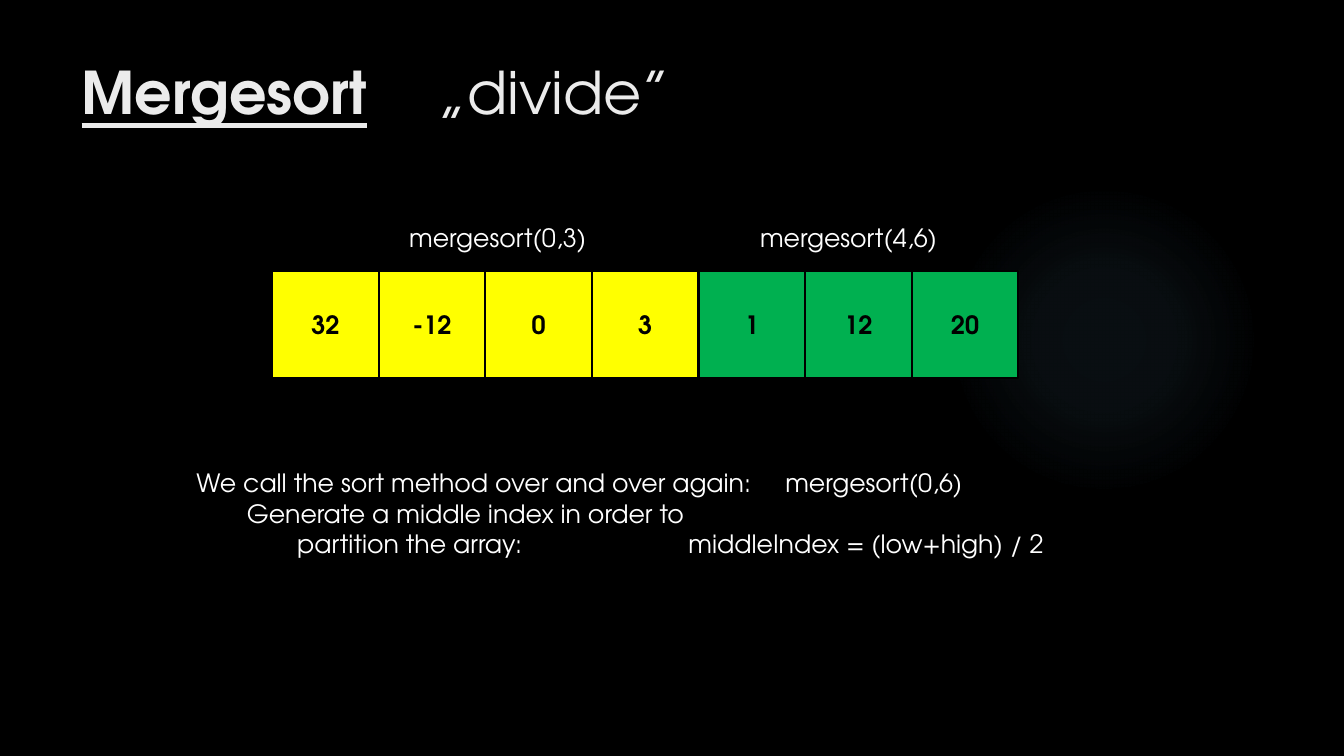
"""Builds the Mergesort "divide" slide."""
from dataclasses import dataclass

import pptx
import pptx.dml.color
import pptx.enum.shapes
import pptx.enum.text
import pptx.oxml
import pptx.oxml.ns
import pptx.presentation
import pptx.shapes.autoshape
import pptx.slide
import pptx.text.text
import pptx.util

Inches = pptx.util.Inches
SHAPE = pptx.enum.shapes.MSO_SHAPE
ANCHOR = pptx.enum.text.MSO_ANCHOR
ALIGN = pptx.enum.text.PP_ALIGN


@dataclass(frozen=True)
class Theme:
    font: str = "TeX Gyre Adventor"
    title_size: int = 42
    body_size: int = 18
    background: str = "000000"
    title: str = "EBEBEB"
    body: str = "FFFFFF"
    cell_text: str = "000000"
    cell_line: str = "000000"
    left_half: str = "FFFF00"
    right_half: str = "00B050"
    glow: str = "7AC4F0"


@dataclass(frozen=True)
class Frame:
    left: float
    top: float
    width: float
    height: float

    def lengths(self) -> tuple[int, int, int, int]:
        return (Inches(self.left), Inches(self.top),
                Inches(self.width), Inches(self.height))


@dataclass(frozen=True)
class Line:
    text: str
    tab_stops: tuple[float, ...]


@dataclass(frozen=True)
class TextBlock:
    frame: Frame
    lines: tuple[Line, ...]


@dataclass(frozen=True)
class Half:
    values: tuple[int, ...]
    fill: str


THEME = Theme()
TITLE_FRAME = Frame(0.71, 0.5, 10.29, 1.53)
TITLE_TAB = 3.53
GLOW_FRAME = Frame(9.41, 1.83, 3.08, 3.08)
GLOW_STOPS = ((0, 7), (36, 6), (69, 0))
ARRAY_LEFT, ARRAY_TOP, ARRAY_WIDTH = 2.7, 2.69, 7.4
HALVES = (
    Half((32, -12, 0, 3), THEME.left_half),
    Half((1, 12, 20), THEME.right_half),
)
TEXT_BLOCKS = (
    TextBlock(Frame(3.96, 2.16, 5.5, 0.4), (
        Line("mergesort(0,3)\tmergesort(4,6)", (3.48,)),
    )),
    TextBlock(Frame(1.85, 4.59, 9.73, 1.01), (
        Line("We call the sort method over and over again:\tmergesort(0,6)", (5.84,)),
        Line("\tGenerate a middle index in order to", (0.5,)),
        Line("\t\tpartition the array:\tmiddleIndex = (low+high) / 2", (0.5, 1, 4.88)),
    )),
)


def rgb(colour: str) -> pptx.dml.color.RGBColor:
    return pptx.dml.color.RGBColor.from_string(colour)


def set_font(para: pptx.text.text._Paragraph, size: int, colour: str) -> None:
    para.font.name = THEME.font
    para.font.size = pptx.util.Pt(size)
    para.font.color.rgb = rgb(colour)


def set_tab_stops(para: pptx.text.text._Paragraph, stops: tuple[float, ...]) -> None:
    properties = para._p.get_or_add_pPr()
    tabs = properties.makeelement(pptx.oxml.ns.qn("a:tabLst"), {})
    for stop in stops:
        tab = tabs.makeelement(pptx.oxml.ns.qn("a:tab"),
                               {"pos": str(Inches(stop)), "algn": "l"})
        tabs.append(tab)
    properties.append(tabs)


def add_title(slide: pptx.slide.Slide) -> None:
    title = slide.shapes.title
    title.left, title.top, title.width, title.height = TITLE_FRAME.lengths()
    title.text_frame.vertical_anchor = ANCHOR.TOP
    title.text_frame.auto_size = pptx.enum.text.MSO_AUTO_SIZE.NONE
    para = title.text_frame.paragraphs[0]
    para.alignment = ALIGN.LEFT
    set_tab_stops(para, (TITLE_TAB,))
    set_font(para, THEME.title_size, THEME.title)
    for text, strong in (("Mergesort", True), ("\t„divide”", False)):
        span = para.add_run()
        span.text = text
        span.font.bold = strong
        span.font.underline = strong


def add_shape(slide: pptx.slide.Slide, kind: SHAPE,
              frame: Frame) -> pptx.shapes.autoshape.Shape:
    shape = slide.shapes.add_shape(kind, *frame.lengths())
    shape.shadow.inherit = False
    return shape


def add_glow(slide: pptx.slide.Slide) -> None:
    glow = add_shape(slide, SHAPE.OVAL, GLOW_FRAME)
    glow.line.fill.background()
    glow.fill.background()
    stops = "".join(
        f'<a:gs pos="{position * 1000}"><a:srgbClr val="{THEME.glow}">'
        f'<a:alpha val="{opacity * 1000}"/></a:srgbClr></a:gs>'
        for position, opacity in GLOW_STOPS)
    gradient = pptx.oxml.parse_xml(
        f'<a:gradFill {pptx.oxml.ns.nsdecls("a")}><a:gsLst>{stops}</a:gsLst>'
        '<a:path path="circle"><a:fillToRect l="50000" t="50000" r="50000" b="50000"/>'
        '</a:path></a:gradFill>')
    properties = glow._element.spPr
    properties.replace(properties.find(pptx.oxml.ns.qn("a:noFill")), gradient)


def add_array(slide: pptx.slide.Slide) -> None:
    cells = [(value, half.fill) for half in HALVES for value in half.values]
    side = ARRAY_WIDTH / len(cells)
    for index, (value, fill) in enumerate(cells):
        cell = add_shape(slide, SHAPE.RECTANGLE,
                         Frame(ARRAY_LEFT + index * side, ARRAY_TOP, side, side))
        cell.fill.solid()
        cell.fill.fore_color.rgb = rgb(fill)
        cell.line.color.rgb = rgb(THEME.cell_line)
        cell.line.width = pptx.util.Pt(1.5)
        cell.text_frame.vertical_anchor = ANCHOR.MIDDLE
        para = cell.text_frame.paragraphs[0]
        para.text = str(value)
        para.alignment = ALIGN.CENTER
        set_font(para, THEME.body_size, THEME.cell_text)
        para.font.bold = True


def add_text_block(slide: pptx.slide.Slide, block: TextBlock) -> None:
    box = slide.shapes.add_textbox(*block.frame.lengths())
    box.text_frame.word_wrap = True
    for index, line in enumerate(block.lines):
        para = box.text_frame.add_paragraph() if index else box.text_frame.paragraphs[0]
        para.text = line.text
        set_tab_stops(para, line.tab_stops)
        set_font(para, THEME.body_size, THEME.body)


def build_deck() -> pptx.presentation.Presentation:
    deck = pptx.Presentation()
    deck.slide_width, deck.slide_height = Inches(13.33), Inches(7.5)
    slide = deck.slides.add_slide(deck.slide_layouts.get_by_name("Title Only"))
    slide.background.fill.solid()
    slide.background.fill.fore_color.rgb = rgb(THEME.background)
    add_title(slide)
    add_glow(slide)
    add_array(slide)
    for block in TEXT_BLOCKS:
        add_text_block(slide, block)
    return deck


if __name__ == "__main__":
    build_deck().save("out.pptx")
